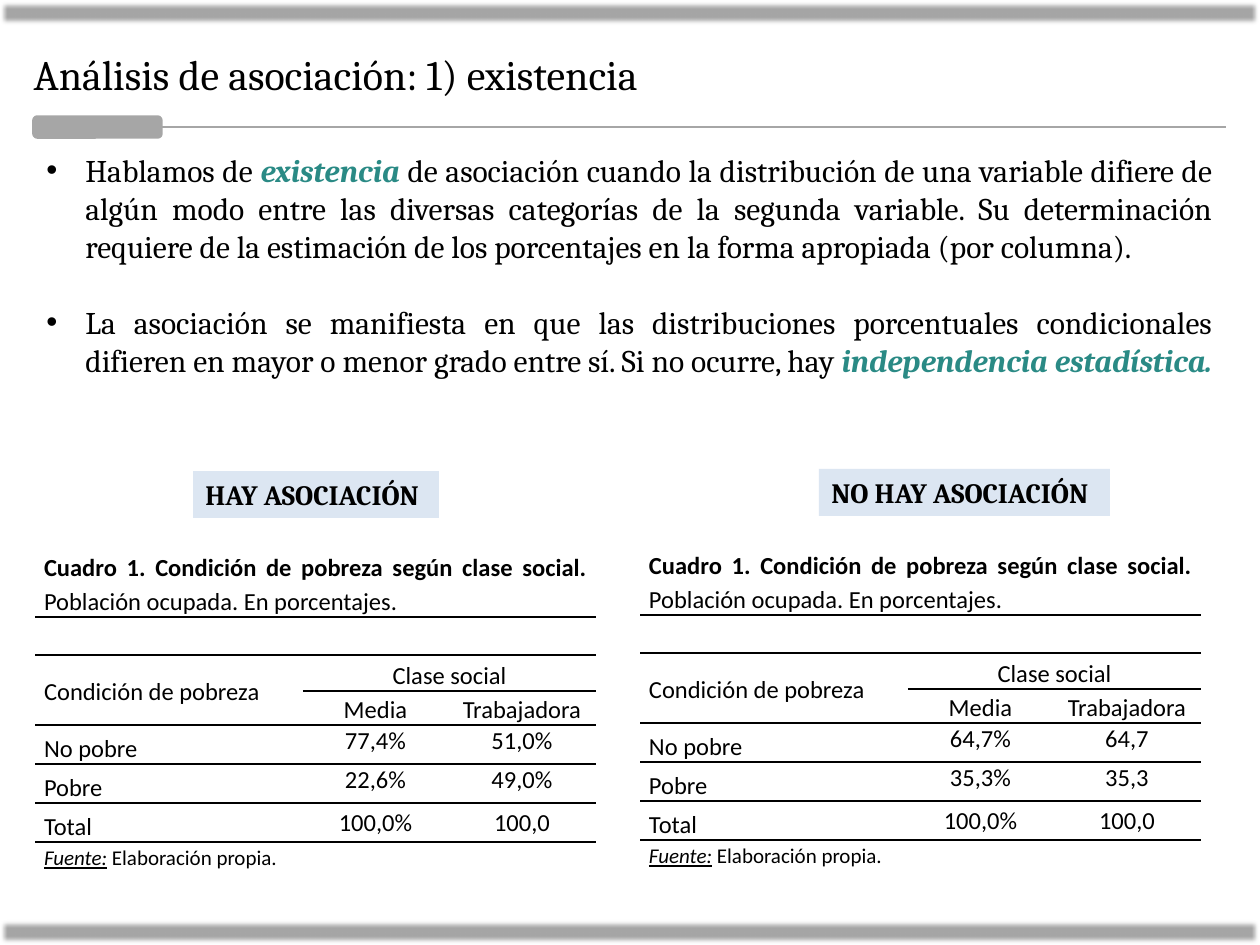
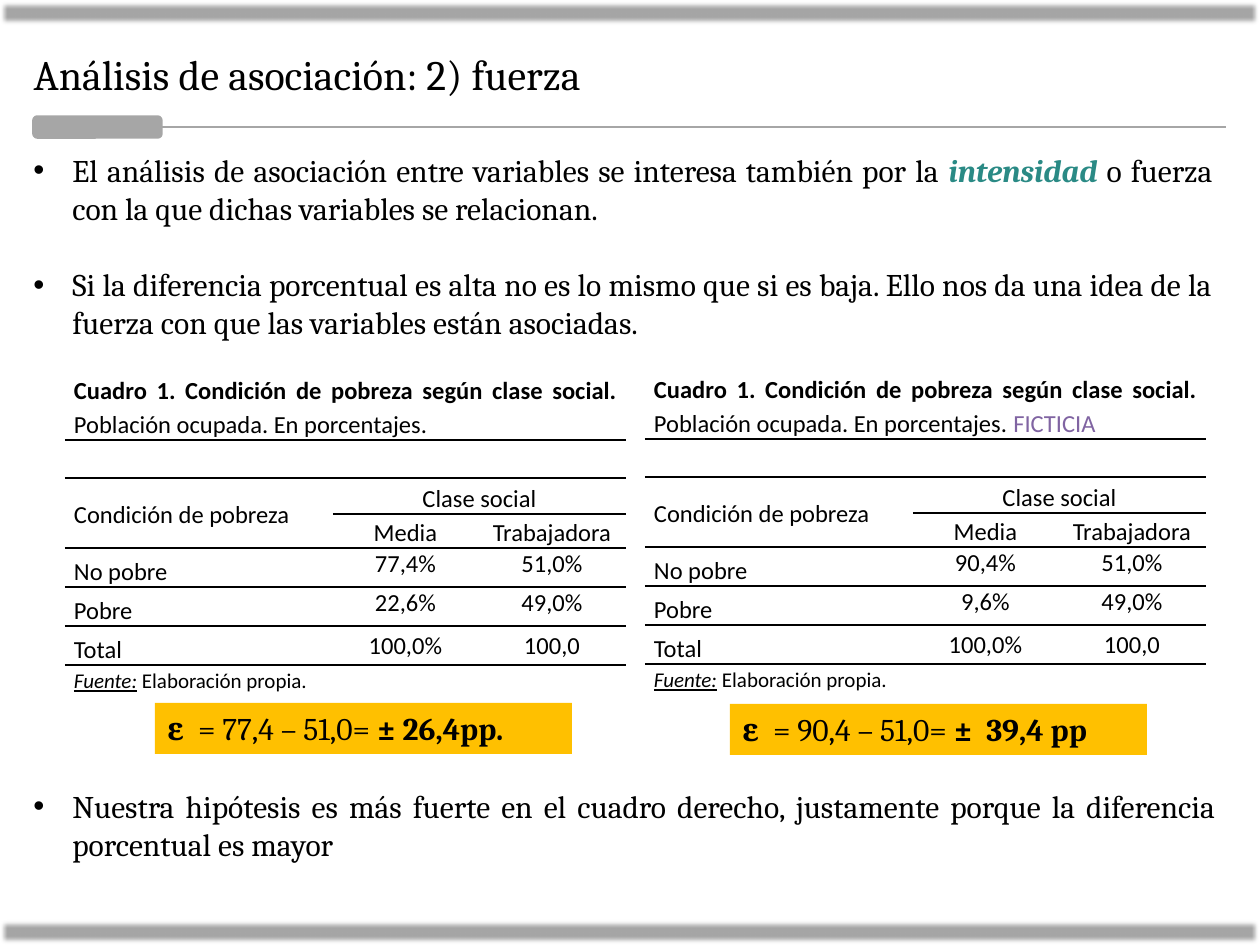
"""Build two slides on the existence and strength of association."""
from lxml import etree
from pptx import Presentation
from pptx.dml.color import RGBColor
from pptx.enum.shapes import MSO_CONNECTOR, MSO_SHAPE
from pptx.enum.text import MSO_ANCHOR, PP_ALIGN
from pptx.oxml.ns import qn
from pptx.util import Emu, Pt

RECT, ROUND = MSO_SHAPE.RECTANGLE, MSO_SHAPE.ROUNDED_RECTANGLE
LINE = MSO_CONNECTOR.STRAIGHT
TOP, MID, LOW = MSO_ANCHOR.TOP, MSO_ANCHOR.MIDDLE, MSO_ANCHOR.BOTTOM
LEFT, CENTER, FULL = PP_ALIGN.LEFT, PP_ALIGN.CENTER, PP_ALIGN.JUSTIFY

BLACK = RGBColor(0x00, 0x00, 0x00)
GRAY = RGBColor(0xA6, 0xA6, 0xA6)
TEAL = RGBColor(0x2A, 0x8A, 0x85)
BLUE = RGBColor(0xDC, 0xE6, 0xF2)
GOLD = RGBColor(0xFF, 0xC0, 0x00)
PURPLE = RGBColor(0x80, 0x64, 0xA2)

PLAIN, BOLD = ("", BLACK), ("b", BLACK)
TERM, NOTE, FAKE = ("bi", TEAL), ("iu", BLACK), ("", PURPLE)
BODY, SUM = (PLAIN, TERM), (BOLD, PLAIN)

SCALE = 914400 / 126
HANG = 39
COLS = (268, 145, 148)
ROWS = (95, 38, 36, 34, 39, 39, 39, 39)
RULES = {0: 0, 2: 1, 3: 0, 5: 0}
NO_GRID = "{2D5ABB26-0587-4C30-8999-92F81FD0307C}"


def at(*sizes):
    return [Emu(round(size * SCALE)) for size in sizes]


def write(frame, text, looks=(PLAIN,), size=18, face="Cambria", align=LEFT,
          bullet=False, gap=0, space=None):
    for n, line in enumerate(text.split("\n")):
        para = frame.add_paragraph() if n else frame.paragraphs[0]
        para.alignment = align
        if space:
            para.line_spacing = space
        if n:
            para.space_before = Pt(gap)
        if bullet:
            props = para._p.get_or_add_pPr()
            hang = at(HANG)[0]
            props.set("marL", str(hang))
            props.set("indent", str(-hang))
            etree.SubElement(props, qn("a:buFont"), typeface="Arial")
            etree.SubElement(props, qn("a:buChar"), char="•")
        for k, piece in enumerate(line.split("|")):
            if not piece:
                continue
            style, color = looks[k % len(looks)]
            run = para.add_run()
            run.text = piece
            font = run.font
            font.name, font.size, font.color.rgb = face, Pt(size), color
            font.bold, font.italic = "b" in style, "i" in style
            font.underline = "u" in style
        if not line:
            etree.SubElement(para._p, qn("a:endParaRPr"), sz=str(size * 100))


SLIDES = [
    {
        "title": "Análisis de asociación: 1) existencia",
        "points": [
            (34, 145, 1191, 318,
             "Hablamos de |existencia| de asociación cuando la distribución de una "
             "variable difiere de algún modo entre las diversas categorías de la "
             "segunda variable. Su determinación requiere de la estimación de los "
             "porcentajes en la forma apropiada (por columna).\n"
             "La asociación se manifiesta en que las distribuciones porcentuales "
             "condicionales difieren en mayor o menor grado entre sí. Si no ocurre, "
             "hay |independencia estadística."),
        ],
        "labels": [
            (193, 471, 246, 47, BLUE, 16, "HAY ASOCIACIÓN"),
            (819, 469, 291, 47, BLUE, 16, "NO HAY ASOCIACIÓN"),
        ],
        "tables": [
            (35, 522, "", ("77,4%", "51,0%", "22,6%", "49,0%")),
            (640, 520, "", ("64,7%", "64,7", "35,3%", "35,3")),
        ],
    },
    {
        "title": "Análisis de asociación: 2) fuerza",
        "points": [
            (21, 145, 1204, 204,
             "El análisis de asociación entre variables se interesa también por la "
             "|intensidad| o fuerza con la que dichas variables se relacionan.\n"
             "Si la diferencia porcentual es alta no es lo mismo que si es baja. Ello "
             "nos da una idea de la fuerza con que las variables están asociadas."),
            (21, 781, 1207, 89,
             "Nuestra hipótesis es más fuerte en el cuadro derecho, justamente "
             "porque la diferencia porcentual es mayor"),
        ],
        "labels": [
            (155, 703, 417, 51, GOLD, 18, "ε  |= 77,4 – 51,0= |± 26,4pp."),
            (730, 704, 417, 51, GOLD, 18, "ε  |= 90,4 – 51,0= |±  39,4 pp"),
        ],
        "tables": [
            (65, 345, "", ("77,4%", "51,0%", "22,6%", "49,0%")),
            (645, 344, " |FICTICIA", ("90,4%", "51,0%", "9,6%", "49,0%")),
        ],
    },
]

deck = Presentation()
deck.slide_width, deck.slide_height = at(1260, 945)

for page in SLIDES:
    slide = deck.slides.add_slide(deck.slide_layouts[5])
    shapes = slide.shapes

    title = shapes.title
    title.left, title.top, title.width, title.height = at(21, 42, 1204, 63)
    title.text_frame.vertical_anchor = TOP
    write(title.text_frame, page["title"], size=24)

    for top in (1, 920):
        band = shapes.add_shape(RECT, *at(0, top, 1260, 25))
        band.fill.solid()
        band.fill.fore_color.rgb = GRAY
        band.line.fill.background()
        band.shadow.inherit = False
        glow = band._element.spPr.find(qn("a:effectLst"))
        etree.SubElement(glow, qn("a:softEdge"), rad="31750")

    tab = shapes.add_shape(ROUND, *at(34, 117, 127, 20))
    tab.fill.solid()
    tab.fill.fore_color.rgb = tab.line.color.rgb = GRAY
    tab.line.width = Pt(2)
    tab.shadow.inherit = False
    rule = shapes.add_connector(LINE, *at(155, 127, 1226, 127))
    rule.line.color.rgb, rule.line.width = GRAY, Pt(1.25)
    etree.SubElement(rule._element.spPr, qn("a:effectLst"))

    for *place, text in page["points"]:
        frame = shapes.add_textbox(*at(*place)).text_frame
        frame.word_wrap = True
        write(frame, text, looks=BODY, align=FULL, bullet=True, gap=22)

    for *place, color, size, text in page["labels"]:
        label = shapes.add_shape(RECT, *at(*place))
        label.fill.solid()
        label.fill.fore_color.rgb = color
        label.line.fill.background()
        label.shadow.inherit = False
        label.text_frame.word_wrap = True
        label.text_frame.vertical_anchor = TOP
        write(label.text_frame, text, looks=SUM, size=size)

    for left, top, extra, data in page["tables"]:
        cells = [
            ("Cuadro 1. Condición de pobreza según clase social. |"
             "Población ocupada. En porcentajes." + extra, "", ""),
            ("", "", ""),
            ("Condición de pobreza", "Clase social", ""),
            ("", "Media", "Trabajadora"),
            ("No pobre", *data[:2]),
            ("Pobre", *data[2:]),
            ("Total", "100,0%", "100,0"),
            ("Fuente:| Elaboración propia.", "", ""),
        ]
        place = at(left, top, sum(COLS), sum(ROWS))
        holder = shapes.add_table(len(ROWS), len(COLS), *place)
        table = holder.table
        table.first_row = table.horz_banding = False
        table._tbl.tblPr.find(qn("a:tableStyleId")).text = NO_GRID
        for col, wide in zip(table.columns, at(*COLS)):
            col.width = wide
        for row, high in zip(table.rows, at(*ROWS)):
            row.height = high
        for r, c, down, over in ((0, 0, 0, 2), (2, 0, 3, 0), (2, 1, 2, 2), (7, 0, 7, 2)):
            table.cell(r, c).merge(table.cell(max(r, down), max(c, over)))

        for r, texts in enumerate(cells):
            for c, text in enumerate(texts):
                cell = table.cell(r, c)
                value = c > 0 and 4 <= r <= 6
                side, head = at(1, 1) if value else at(9, 0)
                cell.margin_left = cell.margin_right = side
                cell.margin_top, cell.margin_bottom = head, 0
                cell.vertical_anchor = LOW
                if (r, c) == (2, 0) or value and r == 6:
                    cell.vertical_anchor = MID
                elif value or r == 7:
                    cell.vertical_anchor = TOP
                edge = r in (0, 7)
                write(cell.text_frame, text, face="Calibri",
                      looks={0: (BOLD, PLAIN, FAKE), 7: (NOTE, PLAIN)}.get(r, (PLAIN,)),
                      size=12 if r == 7 else 14,
                      align=FULL if edge else CENTER if c else LEFT,
                      space=None if value else 1.15)
                props = cell._tc.get_or_add_tcPr()
                for tag, key in (("a:lnT", r - 1), ("a:lnB", r)):
                    if c >= RULES.get(key, 3):
                        line = etree.SubElement(props, qn(tag), w="12700")
                        fill = etree.SubElement(line, qn("a:solidFill"))
                        etree.SubElement(fill, qn("a:srgbClr"), val=str(BLACK))
                cell.fill.background()

deck.save("out.pptx")
